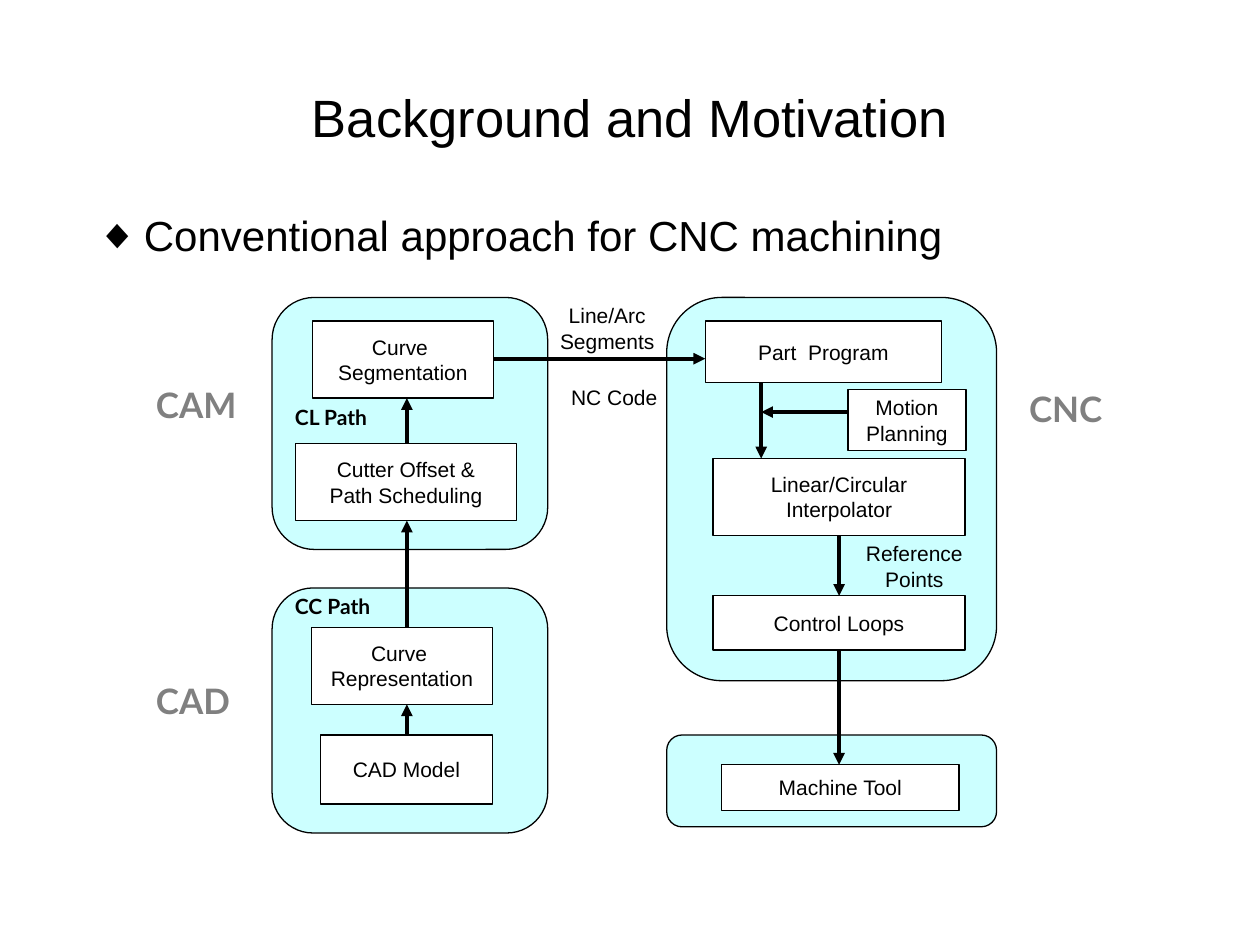
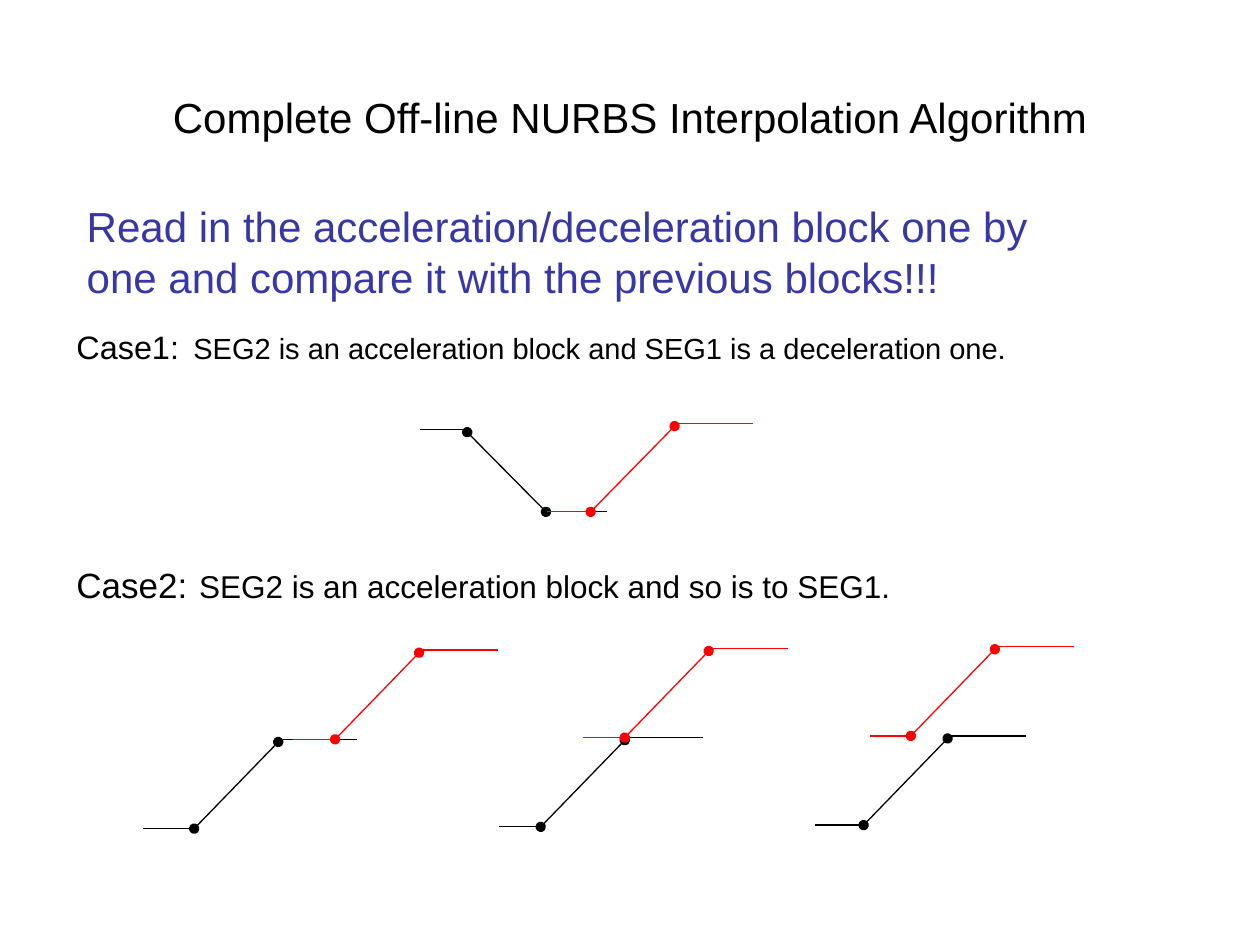
from lxml import etree
from pptx import Presentation
from pptx.dml.color import RGBColor
from pptx.enum import shapes, text
from pptx.oxml import ns
from pptx.util import Pt

BLACK = RGBColor(0x00, 0x00, 0x00)
WHITE = RGBColor(0xFF, 0xFF, 0xFF)
RED = RGBColor(0xFF, 0x00, 0x00)
GREY = RGBColor(0x80, 0x80, 0x80)
INDIGO = RGBColor(0x37, 0x37, 0xA7)
PALE_CYAN = RGBColor(0xCC, 0xFF, 0xFF)

BODY_FONT = "Arial"
LABEL_FONT = "Lato"
TITLE_BOX = (36, 21.5, 648, 90)
LEVEL_RAISE = 1.5  # upper level lines sit this far above the ramp end


# Shared helpers
def place(shape, box):
    shape.left, shape.top, shape.width, shape.height = map(Pt, box)


def format_run(run, size, colour=BLACK, font=BODY_FONT, bold=False):
    run.font.name = font
    run.font.size = Pt(size)
    run.font.bold = bold
    run.font.color.rgb = colour


def write(shape, words, size, align=text.PP_ALIGN.CENTER, wrap=False,
          anchor=text.MSO_ANCHOR.MIDDLE, **style):
    frame = shape.text_frame
    frame.text = words
    frame.word_wrap = wrap
    frame.auto_size = text.MSO_AUTO_SIZE.NONE
    frame.vertical_anchor = anchor
    for paragraph in frame.paragraphs:
        paragraph.alignment = align
        for run in paragraph.runs:
            format_run(run, size, **style)


def add_words(slide, box, words, size, **style):
    write(slide.shapes.add_textbox(*map(Pt, box)), words, size, **style)


def add_titled_slide(presentation, words, size):
    slide = presentation.slides.add_slide(presentation.slide_layouts[1])
    place(slide.shapes.title, TITLE_BOX)
    write(slide.shapes.title, words, size, wrap=True)
    return slide


def set_list_line(shape, runs, line_spacing, bullet=None):
    """Fill one line with (words, size, bold) runs, bulleted or plain."""
    frame = shape.text_frame
    frame.word_wrap = True
    frame.auto_size = text.MSO_AUTO_SIZE.NONE
    frame.vertical_anchor = text.MSO_ANCHOR.TOP
    paragraph = frame.paragraphs[0]
    paragraph.alignment = text.PP_ALIGN.LEFT
    paragraph.line_spacing = line_spacing
    paragraph.space_before = Pt(0)
    properties = paragraph._p.get_or_add_pPr()
    indent = Pt(27) if bullet else 0
    properties.set("marL", str(indent))
    properties.set("indent", str(-indent))
    if bullet:
        colour = etree.SubElement(properties, ns.qn("a:buClr"))
        etree.SubElement(colour, ns.qn("a:srgbClr"), val=str(BLACK))
        etree.SubElement(properties, ns.qn("a:buChar"), char=bullet)
    else:
        etree.SubElement(properties, ns.qn("a:buNone"))
    for words, size, bold in runs:
        run = paragraph.add_run()
        run.text = words
        format_run(run, size, bold=bold)


def add_line(slide, start, end, colour=BLACK, width=0.75, head=None, tail=None):
    line = slide.shapes.add_connector(
        shapes.MSO_CONNECTOR.STRAIGHT, *map(Pt, (*start, *end)))
    line.line.color.rgb = colour
    line.line.width = Pt(width)
    properties = line._element.spPr
    outline = properties.find(ns.qn("a:ln"))
    for tag, kind in (("a:headEnd", head), ("a:tailEnd", tail)):
        if kind:
            etree.SubElement(outline, ns.qn(tag), type=kind)
    etree.SubElement(properties, ns.qn("a:effectLst"))


# Flow chart of the machining process
def add_block(slide, kind, box, fill):
    block = slide.shapes.add_shape(kind, *map(Pt, box))
    block.shadow.inherit = False
    block.fill.solid()
    block.fill.fore_color.rgb = fill
    block.line.color.rgb = BLACK
    block.line.width = Pt(0.75)
    return block


def add_stage(slide, box, steps):
    """Draw a rounded stage; each step's box is relative to its corner."""
    stage = add_block(slide, shapes.MSO_SHAPE.ROUNDED_RECTANGLE, box, PALE_CYAN)
    stage.adjustments[0] = 0.167
    left, top = box[:2]
    blocks = []
    for words, (x, y, width, height) in steps:
        block = add_block(slide, shapes.MSO_SHAPE.RECTANGLE,
                          (left + x, top + y, width, height), WHITE)
        write(block, words, 12)
        blocks.append(block)
    return blocks


def add_arrow(slide, start, end):
    add_line(slide, start, end, width=2.25, tail="triangle")


def link_vertically(slide, x, source, target):
    """Run an arrow at x between the facing edges of two blocks."""
    if source.top < target.top:
        start, end = source.top + source.height, target.top
    else:
        start, end = source.top, target.top + target.height
    add_arrow(slide, (x, start / Pt(1)), (x, end / Pt(1)))


def add_flow_chart(slide, box):
    left, top = box[:2]
    right_column = left + 225.5

    model, representation = add_stage(slide, (left, top + 166, 157.5, 140), [
        ("CAD Model", (27.5, 84, 98.5, 39.5)),
        ("Curve \nRepresentation", (22.5, 22.5, 103.5, 44))])
    offset, segmentation = add_stage(slide, (left, top, 157.5, 144), [
        ("Cutter Offset &\nPath Scheduling", (13.5, 83.5, 126, 44)),
        ("Curve \nSegmentation", (23, 13.5, 103.5, 44))])
    interpolator, program, loops, _ = add_stage(
        slide, (right_column, top, 188.5, 219), [
            ("Linear/Circular\nInterpolator", (26.5, 92, 144, 44)),
            ("Part  Program", (22, 13.5, 135, 35)),
            ("Control Loops", (26.5, 170.5, 144, 31)),
            ("Motion\nPlanning", (103.5, 52.5, 67.5, 35))])
    machine, = add_stage(slide, (right_column, top + 250, 188.5, 52.5), [
        ("Machine Tool", (31.5, 17, 135.5, 26))])

    # Arrows
    for x, source, target in [
            (77, model, representation), (77, representation, offset),
            (77, offset, segmentation), (279.5, program, interpolator),
            (324, interpolator, loops), (324, loops, machine)]:
        link_vertically(slide, left + x, source, target)
    for start_x, end_x, y in [(329, 279.5, 65.5), (126.5, 247.5, 35)]:
        add_arrow(slide, (left + start_x, top + y), (left + end_x, top + y))

    # Captions beside the arrows
    for words, x, y in [("Reference\nPoints", 329, 136),
                        ("NC Code", 157.5, 39.5),
                        ("Line/Arc\nSegments", 153.5, 0)]:
        add_words(slide, (left + x, top + y, 76, 35), words, 12)

    # Path and stage labels
    for words, x, y, size, colour in [
            ("CL Path", 6, 57.5, 12, BLACK), ("CC Path", 6, 165.5, 12, BLACK),
            ("CAD", -73.5, 215, 20, GREY), ("CAM", -73.5, 45.5, 20, GREY),
            ("CNC", 425.5, 48, 20, GREY)]:
        add_words(slide, (left + x, top + y, 80, size * 1.6), words, size,
                  align=text.PP_ALIGN.LEFT, anchor=text.MSO_ANCHOR.TOP,
                  wrap=True, colour=colour, font=LABEL_FONT, bold=True)


def build_background_slide(presentation):
    slide = add_titled_slide(presentation, "Background and Motivation", 30)
    body = slide.placeholders[1]
    place(body, (48, 119.5, 618.5, 36))
    set_list_line(body, [("Conventional approach for CNC machining", 24, False)],
                  0.9, bullet="◆")
    add_flow_chart(slide, (155.5, 170, 414, 306))


# Speed profiles of the interpolation cases
def add_speed_block(slide, box, lead, run_out, colour, rising=True):
    """Draw a ramp across the box with a level line before and after it."""
    left, top, width, height = box
    right, bottom, high = left + width, top + height, top - LEVEL_RAISE
    ramp = (bottom, top) if rising else (top, bottom)
    levels = (bottom, high) if rising else (high, bottom)
    add_line(slide, (left, ramp[0]), (right, ramp[1]), colour,
             head="oval", tail="oval")
    add_line(slide, (left - lead, levels[0]), (left, levels[0]), colour)
    add_line(slide, (right, levels[1]), (right + run_out, levels[1]), colour)


def add_deceleration_case(slide, left, top):
    add_speed_block(slide, (left + 27, top + 5, 45, 45.5), 27, 35, BLACK,
                    rising=False)
    add_speed_block(slide, (left + 97.5, top + 1.5, 48, 49), 25, 45, RED)


def add_acceleration_cases(slide, left, top):
    for x, y, lead, colour in [
            (29, 54, 29, BLACK), (109.5, 3, 24, RED),
            (227, 53, 24, BLACK), (275, 2, 24, RED),
            (411.5, 52, 27.5, BLACK), (438.5, 1, 23.5, RED)]:
        add_speed_block(slide, (left + x, top + y, 48, 49.5), lead, 45, colour)


def build_algorithm_slide(presentation):
    slide = add_titled_slide(
        presentation, "Complete Off-line NURBS Interpolation Algorithm", 24)
    add_words(slide, (42.5, 111, 567.5, 65),
              "Read in the acceleration/deceleration block one by one "
              "and compare it with the previous blocks!!!", 24,
              align=text.PP_ALIGN.LEFT, wrap=True, colour=INDIGO)

    # Case 1
    body = slide.placeholders[1]
    place(body, (36.5, 182, 624, 34))
    set_list_line(body, [
        ("Case1:", 18.5, False), (" ", 29.6, False),
        ("SEG2 is an acceleration block and SEG1 is a deceleration one.",
         16.6, False)], 0.7)
    add_deceleration_case(slide, 240, 242)

    # Case 2
    case_text = slide.shapes.add_textbox(*map(Pt, (36.5, 318, 624, 42)))
    set_list_line(case_text, [
        ("Case2:", 20, False), (" ", 24, True),
        ("SEG2 is an acceleration block and so is to SEG1.", 18, False)], 0.9)
    add_acceleration_cases(slide, 82, 370)


def main():
    presentation = Presentation()
    presentation.slide_width, presentation.slide_height = Pt(720), Pt(540)
    build_background_slide(presentation)
    build_algorithm_slide(presentation)
    presentation.save("out.pptx")


if __name__ == "__main__":
    main()
